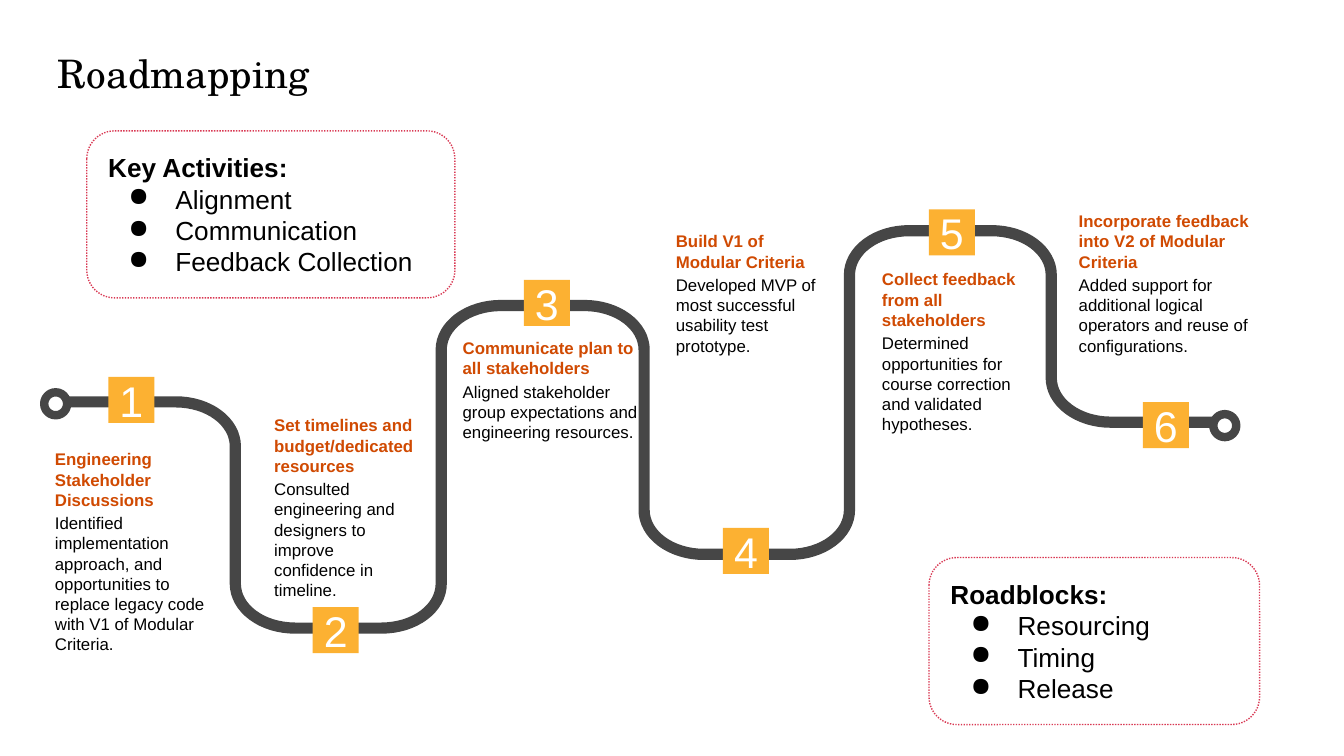
from dataclasses import dataclass
from math import cos, pi, sin

from lxml import etree
from pptx import Presentation
from pptx.dml.color import RGBColor
from pptx.enum.dml import MSO_LINE
from pptx.enum.shapes import MSO_SHAPE
from pptx.enum.text import MSO_ANCHOR, PP_ALIGN
from pptx.oxml.ns import qn
from pptx.util import Pt

RECTANGLE = MSO_SHAPE.RECTANGLE
ROUNDED = MSO_SHAPE.ROUNDED_RECTANGLE
OVAL = MSO_SHAPE.OVAL
DOTTED = MSO_LINE.ROUND_DOT
TOP, MIDDLE, BOTTOM = MSO_ANCHOR.TOP, MSO_ANCHOR.MIDDLE, MSO_ANCHOR.BOTTOM
LEFT, CENTER = PP_ALIGN.LEFT, PP_ALIGN.CENTER

BLACK = RGBColor(0, 0, 0)
WHITE = RGBColor(0xFF, 0xFF, 0xFF)
ROAD_GREY = RGBColor(0x46, 0x46, 0x46)
MARKER_YELLOW = RGBColor(0xFC, 0xB1, 0x32)
HEADING_ORANGE = RGBColor(0xD0, 0x4A, 0x02)
BORDER_PINK = RGBColor(0xD9, 0x39, 0x54)

BODY_FONT = "Arial"
TITLE_FONT = "TeX Gyre Schola"

MARKER_SIZE = 24.7
END_SIZE = 12.3
CORNER_X, CORNER_Y = 31.9, 23.7
CORNER_STEPS = 16

# Road: height of each level and the x of each drop or climb between levels
ROAD_START, ROAD_END = 32.4, 653.8
LEVELS = [215.3, 336.5, 163.7, 297, 123.6, 226.2]
BENDS = [126.1, 236.4, 345.1, 455.1, 563.2]


@dataclass
class Step:
    heading: str
    detail: str
    left: float
    top: float
    width: float
    height: float
    marker_left: float
    marker_top: float


@dataclass
class Panel:
    heading: str
    items: list[str]
    left: float
    top: float
    width: float
    height: float


STEPS = [
    Step("Engineering Stakeholder Discussions",
         "Identified implementation approach, and opportunities to replace "
         "legacy code with V1 of Modular Criteria.",
         29.4, 240.6, 82.3, 64, 58, 201.9),
    Step("Set timelines and budget/dedicated resources",
         "Consulted engineering and designers to improve confidence in timeline.",
         146.9, 222.4, 75, 56, 167.5, 325.2),
    Step("Communicate plan to all stakeholders",
         "Aligned stakeholder group expectations and engineering resources.",
         247.9, 181, 94.5, 80.6, 280.6, 149.9),
    Step("Build V1 of Modular Criteria",
         "Developed MVP of most successful usability test prototype.",
         362.1, 123.8, 75, 121, 387.3, 282.8),
    Step("Collect feedback from all stakeholders",
         "Determined opportunities for course correction and validated hypotheses.",
         472.5, 144.2, 79.2, 109.4, 497.6, 112.1),
    Step("Incorporate feedback into V2 of Modular Criteria",
         "Added support for additional logical operators and reuse of configurations.",
         577.9, 113, 101.5, 74.9, 612.2, 215.4),
]

PANELS = [
    Panel("Key Activities:", ["Alignment", "Communication", "Feedback Collection"],
          46.5, 70.1, 197.2, 89.5),
    Panel("Roadblocks:", ["Resourcing", "Timing", "Release"],
          497.7, 298.7, 177.1, 89.5),
]


def set_frame(frame, anchor, margin: float = 0) -> None:
    frame.word_wrap = True
    frame.vertical_anchor = anchor
    frame.margin_left = frame.margin_right = Pt(margin)
    frame.margin_top = frame.margin_bottom = Pt(margin)


def add_run(paragraph, text: str, size: float, color: RGBColor,
            bold: bool = False, font: str = BODY_FONT) -> None:
    run = paragraph.add_run()
    run.text = text
    run.font.name = font
    run.font.size = Pt(size)
    run.font.bold = bold
    run.font.color.rgb = color


def add_text_box(slide, left: float, top: float, width: float, height: float, anchor):
    box = slide.shapes.add_textbox(Pt(left), Pt(top), Pt(width), Pt(height))
    set_frame(box.text_frame, anchor)
    return box.text_frame


def add_plain_shape(slide, kind, left: float, top: float, width: float, height: float):
    shape = slide.shapes.add_shape(kind, Pt(left), Pt(top), Pt(width), Pt(height))
    shape.shadow.inherit = False
    return shape


def add_bullet(paragraph) -> None:
    properties = paragraph._p.get_or_add_pPr()
    properties.set("marL", str(Pt(36)))
    properties.set("indent", str(Pt(-25.2)))
    color = etree.SubElement(properties, qn("a:buClr"))
    etree.SubElement(color, qn("a:srgbClr")).set("val", str(BLACK))
    etree.SubElement(properties, qn("a:buChar")).set("char", "●")


def add_step_text(slide, step: Step) -> None:
    frame = add_text_box(slide, step.left, step.top, step.width, step.height, TOP)
    add_run(frame.paragraphs[0], step.heading, 9, HEADING_ORANGE, bold=True)
    detail = frame.add_paragraph()
    detail.space_before = Pt(1.7)
    add_run(detail, step.detail, 9, BLACK)


def add_marker(slide, number: int, step: Step) -> None:
    marker = add_plain_shape(slide, RECTANGLE, step.marker_left, step.marker_top,
                             MARKER_SIZE, MARKER_SIZE)
    marker.fill.solid()
    marker.fill.fore_color.rgb = MARKER_YELLOW
    marker.line.fill.background()
    set_frame(marker.text_frame, MIDDLE)
    paragraph = marker.text_frame.paragraphs[0]
    paragraph.alignment = CENTER
    add_run(paragraph, str(number), 23, WHITE)


def road_points() -> list[tuple[float, float]]:
    points = []
    angles = [pi / 2 * step / CORNER_STEPS for step in range(CORNER_STEPS + 1)]
    for bend, before, after in zip(BENDS, LEVELS, LEVELS[1:]):
        way = 1 if after > before else -1
        # Turn off the level, then turn onto the next one
        points += [(bend - CORNER_X * (1 - sin(angle)),
                    before + way * CORNER_Y * (1 - cos(angle))) for angle in angles]
        points += [(bend + CORNER_X * (1 - cos(angle)),
                    after - way * CORNER_Y * (1 - sin(angle))) for angle in angles]
    return points + [(ROAD_END, LEVELS[-1])]


def add_road(slide) -> None:
    builder = slide.shapes.build_freeform(Pt(ROAD_START), Pt(LEVELS[0]))
    builder.add_line_segments([(Pt(x), Pt(y)) for x, y in road_points()], close=False)
    road = builder.convert_to_shape()
    road.shadow.inherit = False
    road.fill.background()
    road.line.color.rgb = ROAD_GREY
    road.line.width = Pt(6)


def add_road_end(slide, left: float, top: float) -> None:
    ring = add_plain_shape(slide, OVAL, left, top, END_SIZE, END_SIZE)
    ring.fill.solid()
    ring.fill.fore_color.rgb = WHITE
    ring.line.color.rgb = ROAD_GREY
    ring.line.width = Pt(4.5)


def add_panel(slide, panel: Panel) -> None:
    shape = add_plain_shape(slide, ROUNDED, panel.left, panel.top,
                            panel.width, panel.height)
    shape.fill.background()
    shape.line.color.rgb = BORDER_PINK
    shape.line.width = Pt(0.75)
    shape.line.dash_style = DOTTED
    frame = shape.text_frame
    set_frame(frame, MIDDLE, 7.2)
    frame.paragraphs[0].alignment = LEFT
    add_run(frame.paragraphs[0], panel.heading, 14, BLACK, bold=True)
    for item in panel.items:
        paragraph = frame.add_paragraph()
        paragraph.alignment = LEFT
        add_bullet(paragraph)
        add_run(paragraph, item, 14, BLACK)


def main() -> None:
    presentation = Presentation()
    presentation.slide_width, presentation.slide_height = Pt(720), Pt(405)
    slide = presentation.slides.add_slide(presentation.slide_layouts[6])

    # Title
    title = add_text_box(slide, 31, 27.4, 657.4, 24.5, BOTTOM).paragraphs[0]
    title.line_spacing = 0.85
    add_run(title, "Roadmapping", 21, BLACK, font=TITLE_FONT)

    # Road with its steps
    for step in STEPS:
        add_step_text(slide, step)
    add_road(slide)
    for number, step in enumerate(STEPS, start=1):
        add_marker(slide, number, step)
    add_road_end(slide, 23.7, 210.2)
    add_road_end(slide, 650, 221.9)

    # Side panels
    for panel in PANELS:
        add_panel(slide, panel)

    presentation.save("out.pptx")


if __name__ == "__main__":
    main()
